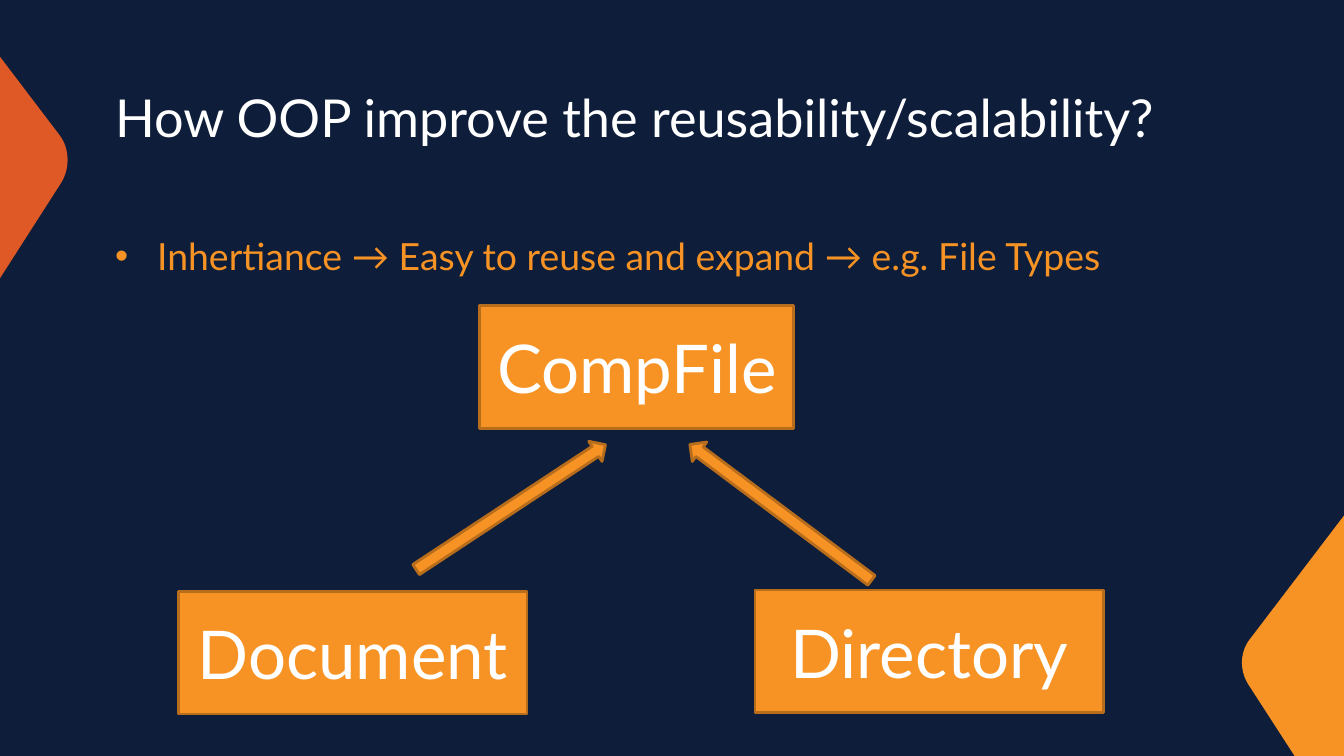
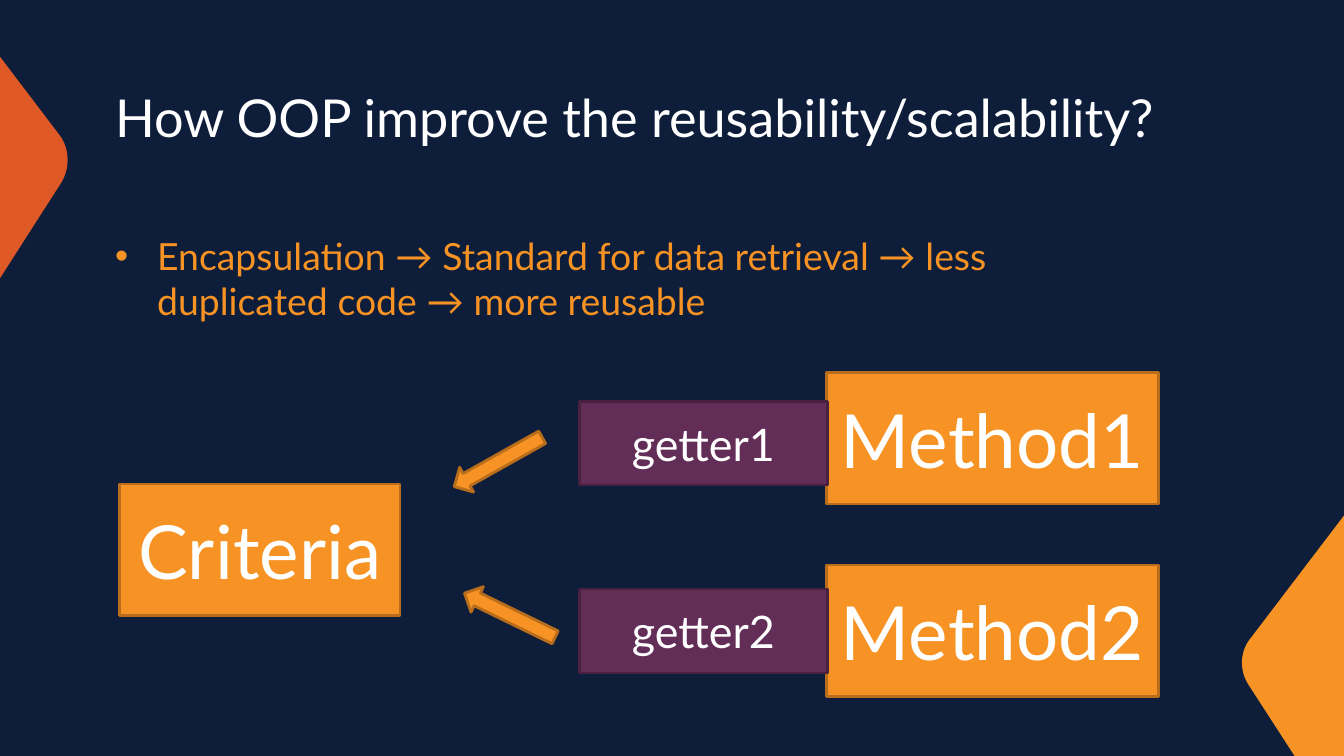
from dataclasses import dataclass

from lxml import etree
from pptx import Presentation
from pptx.dml.color import RGBColor
from pptx.enum.shapes import MSO_SHAPE
from pptx.enum.text import MSO_ANCHOR, MSO_AUTO_SIZE, PP_ALIGN
from pptx.oxml.ns import qn
from pptx.util import Emu, Pt

RECT = MSO_SHAPE.RECTANGLE
DOWN_ARROW = MSO_SHAPE.DOWN_ARROW
LEFT, CENTER = PP_ALIGN.LEFT, PP_ALIGN.CENTER
TOP, MIDDLE = MSO_ANCHOR.TOP, MSO_ANCHOR.MIDDLE
NO_FIT = MSO_AUTO_SIZE.NONE
CURVE_STEPS = 16
HEADING = "How OOP improve the reusability/scalability?"


@dataclass(frozen=True)
class Theme:
    font: str = "Lato"
    navy: str = "0E1D39"
    white: str = "FFFFFF"
    red: str = "DE5926"
    orange: str = "F79324"
    orange_edge: str = "B76D1B"
    plum: str = "622D57"
    plum_edge: str = "492140"
    title: float = 37.3
    body: float = 26.7
    getter: float = 32
    file_class: float = 48
    method: float = 53.3
    edge: float = 2


T = Theme()


@dataclass(frozen=True)
class Frame:
    x: int
    y: int
    w: int
    h: int


TITLE_FRAME = Frame(100, 76, 1076, 70)
BODY_FRAME = Frame(100, 217, 992, 467)


@dataclass(frozen=True)
class Box:
    text: str
    frame: Frame
    size: float
    fill: str = T.orange
    edge: str = T.orange_edge


@dataclass(frozen=True)
class Arrow:
    frame: Frame
    angle: float


@dataclass(frozen=True)
class Corner:
    start: tuple
    curve: tuple
    end: tuple
    fill: str


@dataclass(frozen=True)
class Page:
    bullet: str
    boxes: tuple
    arrows: tuple


CORNERS = (
    Corner((0, 54), ((57, 129), (66, 141), (67, 159), (59, 173)),
           ((0, 265),), T.red),
    Corner((1280, 491), ((1191, 608), (1181, 620), (1180, 638), (1189, 652)),
           ((1233, 720), (1280, 720)), T.orange),
)

PAGES = (
    Page(
        "Inhertiance → Easy to reuse and expand → e.g. File Types",
        (
            Box("CompFile", Frame(457, 291, 299, 117), T.file_class),
            Box("Document", Frame(170, 563, 332, 117), T.file_class),
            Box("Directory", Frame(719, 562, 332, 117), T.file_class),
        ),
        (
            Arrow(Frame(475, 375, 23, 216), 236.6),
            Arrow(Frame(732, 380, 23, 216), 126.8),
        ),
    ),
    Page(
        "Encapsulation → Standard for data retrieval → less duplicated code "
        "→ more reusable",
        (
            Box("Criteria", Frame(114, 461, 267, 125), T.method),
            Box("Method1", Frame(787, 355, 316, 125), T.method),
            Box("Method2", Frame(787, 538, 316, 125), T.method),
            Box("getter1", Frame(552, 382, 236, 80), T.getter, T.plum, T.plum_edge),
            Box("getter2", Frame(552, 561, 236, 80), T.getter, T.plum, T.plum_edge),
        ),
        (
            Arrow(Frame(461, 392, 27, 96), 60.7),
            Arrow(Frame(472, 538, 27, 96), 116),
        ),
    ),
)


def px(n: float) -> Emu:
    return Emu(round(n * 9525))


def place(frame: Frame) -> tuple:
    return px(frame.x), px(frame.y), px(frame.w), px(frame.h)


def rgb(color: str) -> RGBColor:
    return RGBColor.from_string(color)


def write(sp, text: str, size: float, color: str, align, anchor):
    tf = sp.text_frame
    tf.word_wrap = True
    tf.auto_size = NO_FIT
    tf.vertical_anchor = anchor
    p = tf.paragraphs[0]
    p.alignment = align
    p.space_before = Pt(0)
    r = p.add_run()
    r.text = text
    r.font.name = T.font
    r.font.size = Pt(size)
    r.font.color.rgb = rgb(color)
    return p


def add_bullet(p, color: str) -> None:
    pPr = p._p.get_or_add_pPr()
    pPr.set("marL", str(px(40)))
    pPr.set("indent", str(px(-40)))
    bu_clr = etree.SubElement(pPr, qn("a:buClr"))
    etree.SubElement(bu_clr, qn("a:srgbClr")).set("val", color)
    etree.SubElement(pPr, qn("a:buFont")).set("typeface", "Arial")
    etree.SubElement(pPr, qn("a:buChar")).set("char", "•")


def add_preset(s, kind, frame: Frame, fill: str, edge: str):
    sp = s.shapes.add_shape(kind, *place(frame))
    sp.shadow.inherit = False
    sp.fill.solid()
    sp.fill.fore_color.rgb = rgb(fill)
    sp.line.color.rgb = rgb(edge)
    sp.line.width = Pt(T.edge)
    return sp


def add_box(s, box: Box) -> None:
    sp = add_preset(s, RECT, box.frame, box.fill, box.edge)
    write(sp, box.text, box.size, T.white, CENTER, MIDDLE)


def add_arrow(s, arrow: Arrow) -> None:
    sp = add_preset(s, DOWN_ARROW, arrow.frame, T.orange, T.orange_edge)
    sp.rotation = arrow.angle


def bezier(curve: tuple, t: float) -> tuple:
    u = 1 - t
    weights = (u ** 3, 3 * u * u * t, 3 * u * t * t, t ** 3)
    return tuple(sum(w * c[axis] for w, c in zip(weights, curve)) for axis in (0, 1))


def add_corner(s, layout, corner: Corner) -> None:
    rounded = [bezier(corner.curve, i / CURVE_STEPS) for i in range(CURVE_STEPS + 1)]
    builder = s.shapes.build_freeform(*map(px, corner.start))
    builder.add_line_segments(
        [(px(x), px(y)) for x, y in (*rounded, *corner.end)], close=True)
    sp = builder.convert_to_shape()
    sp.shadow.inherit = False
    sp.fill.solid()
    sp.fill.fore_color.rgb = rgb(corner.fill)
    sp.line.fill.background()
    layout.shapes._spTree.append(sp._element)


def add_page(prs, layout, page: Page):
    s = prs.slides.add_slide(layout)
    title, body = s.shapes.title, s.placeholders[1]
    for sp, frame in ((title, TITLE_FRAME), (body, BODY_FRAME)):
        sp.left, sp.top, sp.width, sp.height = place(frame)
    write(title, HEADING, T.title, T.white, LEFT, MIDDLE)
    p = write(body, page.bullet, T.body, T.orange, LEFT, TOP)
    add_bullet(p, T.orange)
    for box in page.boxes:
        add_box(s, box)
    for arrow in page.arrows:
        add_arrow(s, arrow)
    return s


def main() -> None:
    prs = Presentation()
    prs.slide_width, prs.slide_height = px(1280), px(720)
    background = prs.slide_master.background.fill
    background.solid()
    background.fore_color.rgb = rgb(T.navy)
    layout = prs.slide_layouts[1]
    slides = [add_page(prs, layout, page) for page in PAGES]
    for corner in CORNERS:
        add_corner(slides[0], layout, corner)
    prs.save("out.pptx")


if __name__ == "__main__":
    main()
